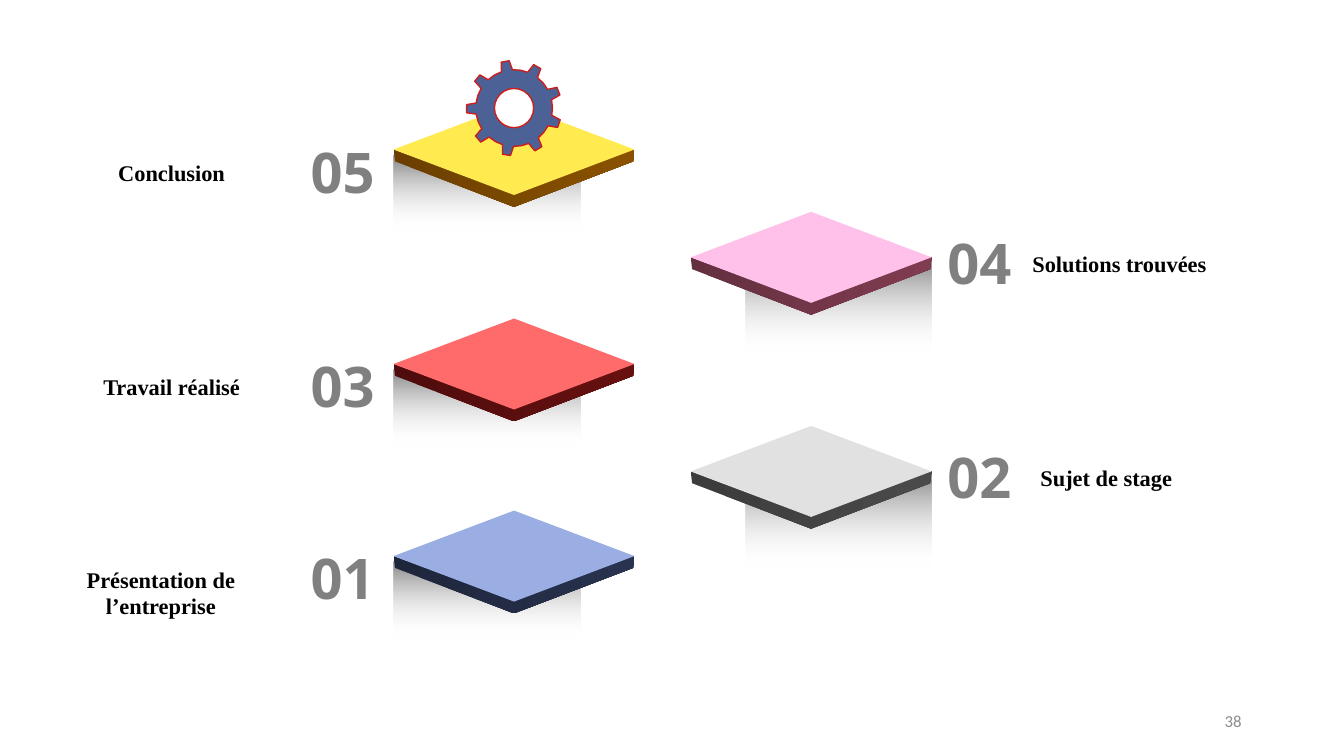
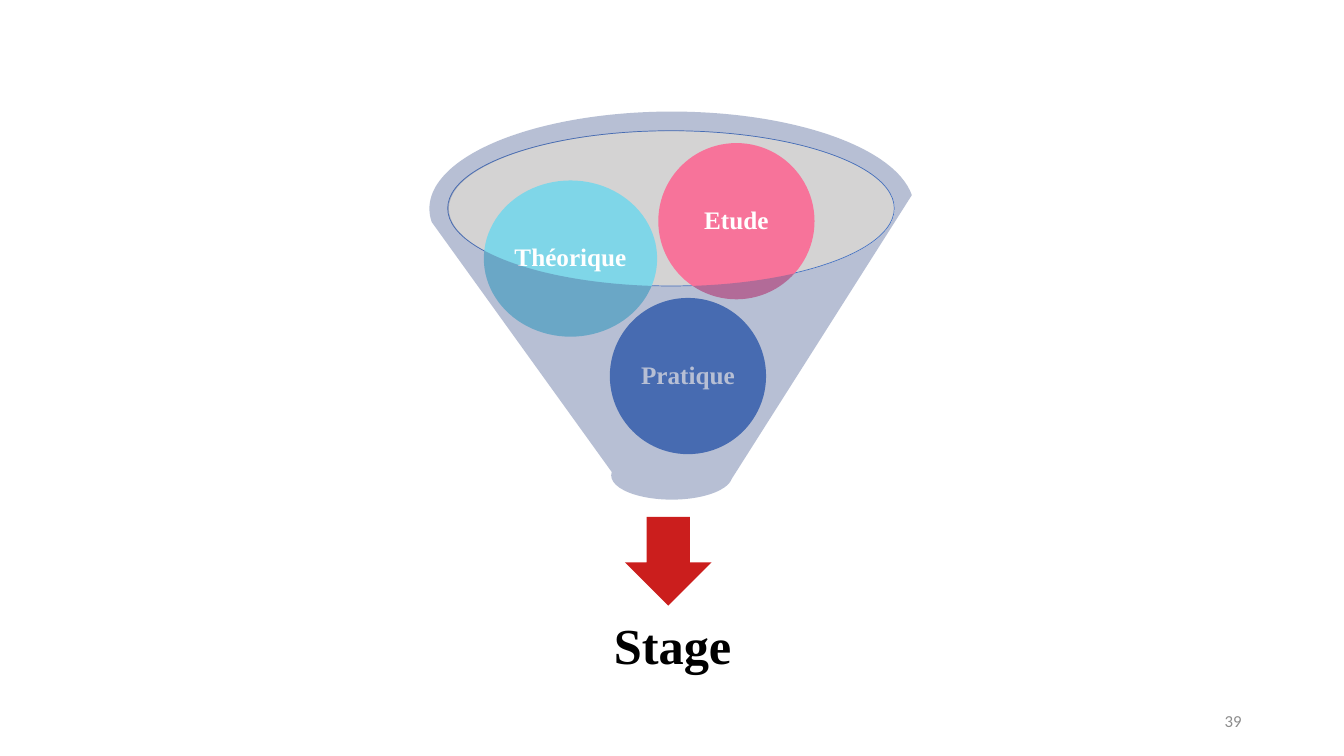
"""Build a five-step agenda slide and a funnel slide."""
import math

from lxml import etree
from pptx import Presentation
from pptx.dml.color import RGBColor
from pptx.enum import shapes, text
from pptx.oxml import ns
from pptx.util import Pt

NAVY, RED, PINK, BLUE, GREY = "4C6195", "CB1E1D", "F7739A", "4472C4", "949393"
CYAN, WHITE, BLACK = "7FD6E8", "FFFFFF", "000000"
NUMBER_GREY, PAGE_GREY = "808080", "8C8C8C"
SERIF, SANS, BODY = "Times New Roman", "Open Sans", "Calibri"
MSO = shapes.MSO_SHAPE
ALIGN = text.PP_ALIGN
LEFT_X, RIGHT_X = 367.2, 579.4
SLAB_HALF, SLAB_RISE, SLAB_DEPTH = 86, 32.5, 8.5
FADE_W = 133

STEPS = [
    ("01", "Présentation de l’entreprise", 16.6, 397.2, ("9AAEE3", "1E263C", "29324E")),
    ("02", "Sujet de stage", 691.9, 336.7, ("E1E1E1", "3C3C3C", "4A4A4A")),
    ("03", "Travail réalisé", 24.3, 260, ("FF6B6B", "500C0C", "661010")),
    ("04", "Solutions trouvées", 701.3, 183.8, ("FFC0EA", "64303F", "803C50")),
    ("05", "Conclusion", 24.3, 106.8, ("FFEA4F", "6B3F00", "8A5200")),
]
BALLS = [
    ("Pratique", 435.6, 212.8, 111.6, BLUE),
    ("Théorique", 345.6, 128.9, 123.8, CYAN),
    ("Etude", 470.2, 102.2, 111.6, PINK),
]


def rgb(value):
    """Turn a hex string into a colour."""
    return RGBColor.from_string(value)


def set_alpha(sp, percents):
    """Set the opacity of the fill colours of a shape, in order."""
    fill = sp.element.spPr.find(ns.qn("a:gradFill"))
    if fill is None:
        fill = sp.element.spPr.find(ns.qn("a:solidFill"))
    for color, percent in zip(fill.iter(ns.qn("a:srgbClr")), percents):
        etree.SubElement(color, ns.qn("a:alpha"), val=str(percent * 1000))


def paint(sp, fill, line=None, width=1, alpha=None):
    """Give a shape a flat fill and an optional line."""
    sp.shadow.inherit = False
    sp.fill.solid()
    sp.fill.fore_color.rgb = rgb(fill)
    if alpha is not None:
        set_alpha(sp, [alpha])
    if line:
        sp.line.color.rgb = rgb(line)
        sp.line.width = Pt(width)
    else:
        sp.line.fill.background()
    return sp


def paint_gradient(sp, colors, positions, angle):
    """Replace the fill of a shape by a two-colour gradient."""
    sp.fill.gradient()
    sp.fill.gradient_angle = angle
    for stop, color, position in zip(sp.fill.gradient_stops, colors, positions):
        stop.color.rgb = rgb(color)
        stop.position = position


def add_preset(s, kind, x, y, w, h, fill, **style):
    """Add a painted preset shape."""
    sp = s.shapes.add_shape(kind, Pt(x), Pt(y), Pt(w), Pt(h))
    return paint(sp, fill, **style)


def add_polygon(s, points, fill, **style):
    """Add a painted closed outline."""
    corners = [(Pt(x), Pt(y)) for x, y in points]
    builder = s.shapes.build_freeform(*corners[0])
    builder.add_line_segments(corners[1:], close=True)
    return paint(builder.convert_to_shape(), fill, **style)


def write(sp, words, size, font, color, bold=True, align=ALIGN.CENTER,
          anchor=text.MSO_ANCHOR.MIDDLE, spacing=None):
    """Write one styled paragraph in a shape."""
    tf = sp.text_frame
    tf.word_wrap = True
    tf.vertical_anchor = anchor
    tf.text = words
    p = tf.paragraphs[0]
    p.alignment = align
    p.line_spacing = spacing
    r = p.runs[0]
    r.font.size, r.font.name, r.font.bold = Pt(size), font, bold
    r.font.color.rgb = rgb(color)


def add_text(s, x, y, w, h, words, *style, **options):
    """Add a text box holding one paragraph."""
    box = s.shapes.add_textbox(Pt(x), Pt(y), Pt(w), Pt(h))
    write(box, words, *style, **options)


def add_page_number(s, number):
    """Add the page number in the lower right corner."""
    add_text(s, 678, 500.4, 216, 28.8, str(number), 12, BODY, PAGE_GREY,
             bold=False, align=ALIGN.RIGHT)


def add_fade(s, x, y, h):
    """Add a shadow that fades out downwards."""
    sp = add_preset(s, MSO.RECTANGLE, x, y, FADE_W, h, WHITE)
    paint_gradient(sp, (WHITE, BLACK), (0, 0.92), 90)
    set_alpha(sp, (0, 41))


def add_slab(s, cx, y, colors):
    """Add a thick tile seen from above."""
    top, *sides = colors
    left, right, bottom = cx - SLAB_HALF, cx + SLAB_HALF, y + SLAB_RISE
    rim = add_polygon(s, [(left, y), (cx, bottom), (right, y), (right - 1, y + SLAB_DEPTH),
                          (cx, bottom + SLAB_DEPTH), (left + 1, y + SLAB_DEPTH)], sides[0])
    paint_gradient(rim, sides, (0, 1), 0)
    add_preset(s, MSO.DIAMOND, left, y - SLAB_RISE, 2 * SLAB_HALF, 2 * SLAB_RISE, top)


def add_step(s, number, label, label_x, y, colors):
    """Add a tile with its shadow, number and label."""
    on_left = label_x < LEFT_X
    cx = LEFT_X if on_left else RIGHT_X
    if on_left:
        add_fade(s, cx - SLAB_HALF + 0.3, y + 4, 54)
    else:
        add_fade(s, cx + SLAB_HALF - FADE_W, y, 69)
    add_slab(s, cx, y, colors)
    number_x, number_y = (214.8, y - 12.4) if on_left else (669.6, y - 24.2)
    top = text.MSO_ANCHOR.TOP
    add_text(s, number_x, number_y, 63.4, 55.4, number, 40, SANS, NUMBER_GREY,
             align=ALIGN.LEFT, anchor=top)
    add_text(s, label_x, number_y + 15.7, 196.6, 26.6, label, 16, SERIF, BLACK, anchor=top)


def add_gear(s, cx, cy, tip=34, body=27.4, hole=14, teeth=9):
    """Add a cogwheel with a round hole."""
    pitch = 360 / teeth
    profile = [(-8.3, body), (-4.9, tip), (4.9, tip), (8.3, body), (pitch / 2, body)]
    points = []
    for tooth in range(teeth):
        for offset, radius in profile:
            angle = math.radians(tooth * pitch - 10.8 + offset)
            points.append((cx + radius * math.sin(angle), cy - radius * math.cos(angle)))
    add_polygon(s, points, NAVY, line=RED)
    add_preset(s, MSO.OVAL, cx - hole, cy - hole, 2 * hole, 2 * hole, WHITE, line=RED)


def add_ball(s, label, x, y, w, color):
    """Add a labelled ball in the funnel."""
    sp = add_preset(s, MSO.OVAL, x, y, w, 111.6, color)
    write(sp, label, 18, SERIF, WHITE, spacing=0.9)
    tf = sp.text_frame
    tf.margin_left = tf.margin_right = tf.margin_top = tf.margin_bottom = Pt(2)


def agenda_slide(s):
    """Draw the five agenda steps."""
    for step in STEPS:
        add_step(s, *step)
    add_gear(s, LEFT_X, 77.2)


def funnel_slide(s):
    """Draw the funnel leading to its result."""
    add_preset(s, MSO.OVAL, 319.8, 93.4, 319, 110.9, GREY, line=BLUE, width=0.5, alpha=40)
    add_preset(s, MSO.DOWN_ARROW, 446.4, 369.2, 61.9, 63.4, RED)
    add_text(s, 331.7, 426.2, 297.4, 74.2, "Stage", 36, SERIF, BLACK, spacing=0.9)
    for ball in BALLS:
        add_ball(s, *ball)
    add_preset(s, MSO.FUNNEL, 306.7, 79.7, 346.3, 277.2, NAVY, alpha=40)


def main():
    """Build and save the presentation."""
    prs = Presentation()
    prs.slide_width, prs.slide_height = Pt(960), Pt(540)
    for number, draw in enumerate((agenda_slide, funnel_slide), 38):
        s = prs.slides.add_slide(prs.slide_layouts[6])
        draw(s)
        add_page_number(s, number)
    prs.save("out.pptx")


if __name__ == "__main__":
    main()
